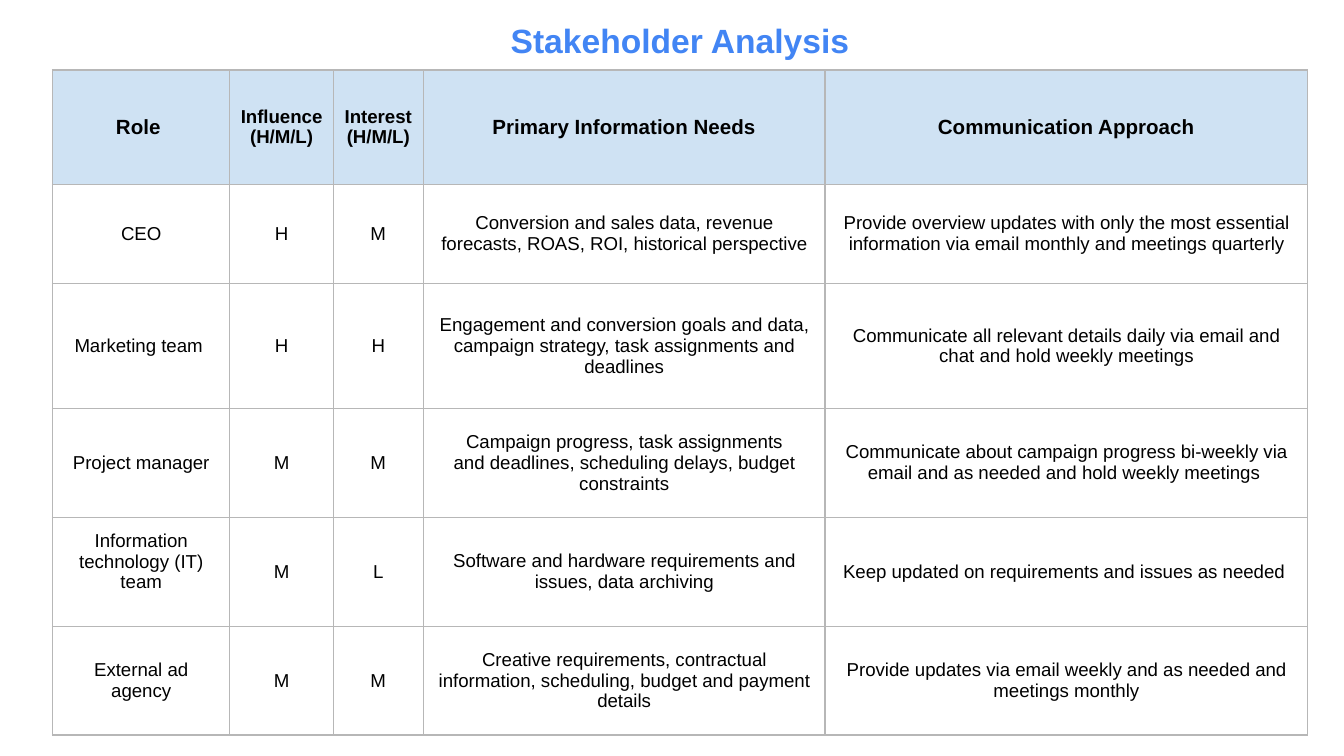
import pptx
import pptx.dml.color
import pptx.enum.text
import pptx.oxml
import pptx.oxml.ns
import pptx.util
from pptx.util import Inches

COLORS = {"title": "4285F4", "text": "000000", "header": "CFE2F3", "border": "B7B7B7"}
FONT = "Arial"
TITLE = "Stakeholder Analysis"
SLIDE_WIDTH = 10
SLIDE_HEIGHT = SLIDE_WIDTH * 9 / 16

# heading, heading size in points, column width in inches
COLUMNS = [
    ("Role ", 11, 1.32),
    ("Influence (H/M/L)", 10, 0.77),
    ("Interest (H/M/L)", 10, 0.67),
    ("Primary Information Needs", 11, 2.99),
    ("Communication Approach", 11, 3.59),
]
STAKEHOLDERS = [
    ("CEO", "H", "M",
     "Conversion and sales data, revenue forecasts, ROAS, ROI, historical perspective",
     "Provide overview updates with only the most essential information via email "
     "monthly and meetings quarterly"),
    ("Marketing team ", "H", "H",
     "Engagement and conversion goals and data, campaign strategy, task assignments "
     "and deadlines",
     "Communicate all relevant details daily via email and chat and hold weekly meetings"),
    ("Project manager", "M", "M",
     "Campaign progress, task assignments\n"
     "and deadlines, scheduling delays, budget constraints",
     "Communicate about campaign progress bi-weekly via email and as needed and hold "
     "weekly meetings "),
    ("Information technology (IT)\nteam", "M", "L",
     "Software and hardware requirements and issues, data archiving",
     "Keep updated on requirements and issues as needed "),
    ("External ad agency", "M", "M",
     "Creative requirements, contractual information, scheduling, budget and payment details",
     "Provide updates via email weekly and as needed and meetings monthly"),
]
ROW_HEIGHTS = [0.85, 0.74, 0.93, 0.81, 0.81, 0.81]
RAISED_CELL = (4, 0)  # the IT team's name sits above the middle of its row


def format_text(text_frame, size, color, bold=False):
    for paragraph in text_frame.paragraphs:
        paragraph.alignment = pptx.enum.text.PP_ALIGN.CENTER
        for run in paragraph.runs:
            run.font.name = FONT
            run.font.size = pptx.util.Pt(size)
            run.font.bold = bold
            run.font.color.rgb = pptx.dml.color.RGBColor.from_string(color)


def add_borders(cell):
    properties = cell._tc.get_or_add_tcPr()
    for side in ("lnL", "lnR", "lnT", "lnB"):
        properties.append(pptx.oxml.parse_xml(
            f'<a:{side} {pptx.oxml.ns.nsdecls("a")} w="{pptx.util.Pt(0.75)}">'
            f'<a:solidFill><a:srgbClr val="{COLORS["border"]}"/></a:solidFill>'
            f'<a:prstDash val="solid"/></a:{side}>'))


def fill_cell(cell, text, size, header):
    cell.text_frame.text = text
    format_text(cell.text_frame, size, COLORS["text"], header)
    cell.vertical_anchor = pptx.enum.text.MSO_ANCHOR.MIDDLE
    cell.margin_left = cell.margin_right = Inches(0.07)
    cell.margin_top = cell.margin_bottom = Inches(0.05)
    add_borders(cell)
    if header:
        cell.fill.solid()
        cell.fill.fore_color.rgb = pptx.dml.color.RGBColor.from_string(COLORS["header"])
    else:
        cell.fill.background()


def add_stakeholder_table(slide):
    rows = [[heading for heading, _, _ in COLUMNS]] + STAKEHOLDERS
    widths = [width for _, _, width in COLUMNS]
    table = slide.shapes.add_table(
        len(rows), len(COLUMNS), Inches(0.39), Inches(0.52),
        Inches(sum(widths)), Inches(sum(ROW_HEIGHTS))).table
    table.first_row = False
    table.horz_banding = False
    for column, width in zip(table.columns, widths):
        column.width = Inches(width)
    for row, height in zip(table.rows, ROW_HEIGHTS):
        row.height = Inches(height)
    for row_index, texts in enumerate(rows):
        header = row_index == 0
        for column_index, text in enumerate(texts):
            size = COLUMNS[column_index][1] if header else 10
            fill_cell(table.cell(row_index, column_index), text, size, header)
    table.cell(*RAISED_CELL).margin_bottom = Inches(0.2)


def add_title(slide):
    text_frame = slide.shapes.add_textbox(
        Inches(1.01), 0, Inches(8.1), Inches(0.5)).text_frame
    text_frame.word_wrap = True
    text_frame.auto_size = pptx.enum.text.MSO_AUTO_SIZE.SHAPE_TO_FIT_TEXT
    text_frame.margin_left = text_frame.margin_right = Inches(0.1)
    text_frame.margin_top = text_frame.margin_bottom = Inches(0.1)
    text_frame.text = TITLE
    text_frame.paragraphs[0].line_spacing = 1.15
    format_text(text_frame, 18, COLORS["title"], bold=True)


def main():
    presentation = pptx.Presentation()
    presentation.slide_width = Inches(SLIDE_WIDTH)
    presentation.slide_height = Inches(SLIDE_HEIGHT)
    slide = presentation.slides.add_slide(presentation.slide_layouts[6])
    add_stakeholder_table(slide)
    add_title(slide)
    presentation.save("out.pptx")


if __name__ == "__main__":
    main()
